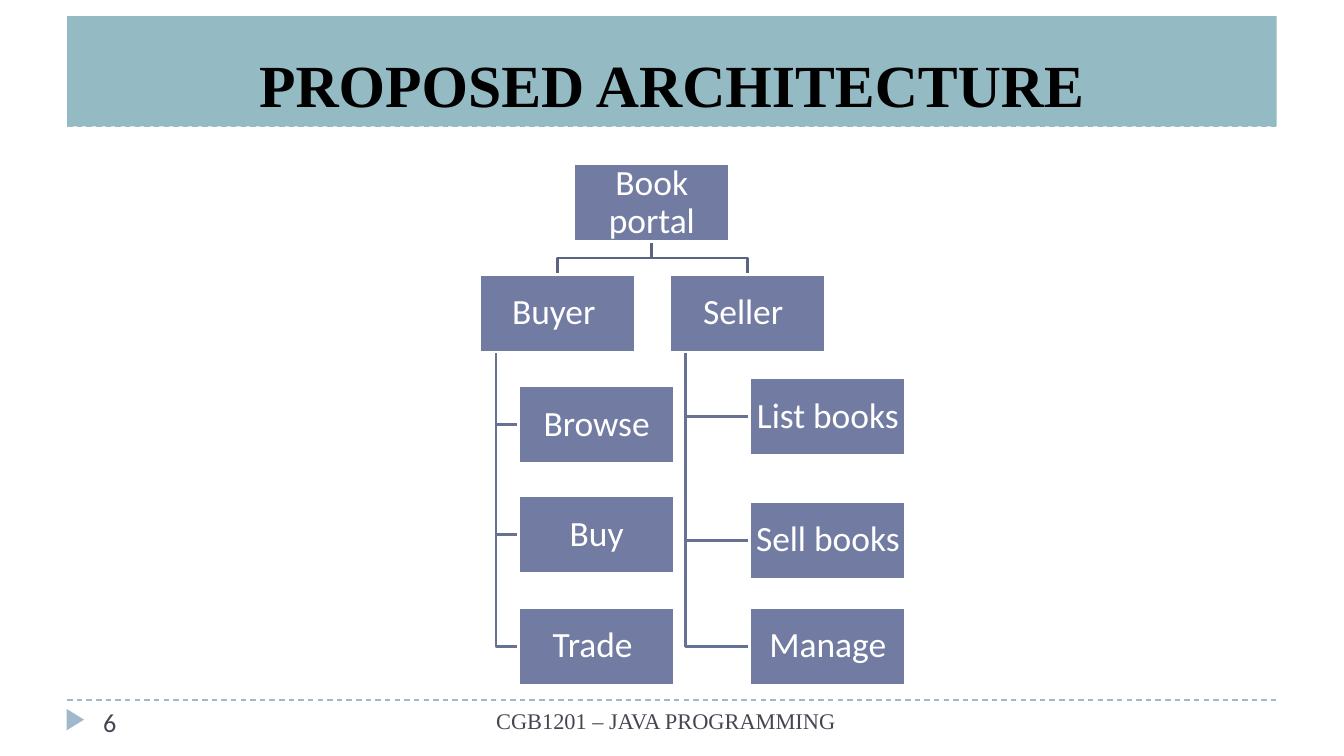
from dataclasses import dataclass

from lxml.etree import SubElement
from pptx import Presentation
from pptx.dml.color import RGBColor
from pptx.enum.dml import MSO_LINE
from pptx.enum.shapes import MSO_CONNECTOR, MSO_SHAPE
from pptx.enum.text import MSO_ANCHOR, MSO_AUTO_SIZE, PP_ALIGN
from pptx.oxml.ns import qn
from pptx.util import Inches, Pt


@dataclass(frozen=True)
class Theme:
    banner: str = "94BAC3"
    rule: str = "9FB8CD"
    box: str = "727CA3"
    trunk: str = "5B6383"
    branch: str = "677194"
    light: str = "FFFFFF"
    dark: str = "000000"
    muted: str = "464653"
    serif: str = "Times New Roman"
    sans: str = "Calibri"
    title_size: int = 32
    box_size: int = 19
    number_size: int = 14
    footer_size: int = 12
    line_width: float = 1.5
    rule_width: float = 0.75


@dataclass(frozen=True)
class Node:
    label: str
    left: float
    top: float

    @property
    def center(self) -> float:
        return self.left + BOX_WIDTH / 2

    @property
    def middle(self) -> float:
        return self.top + BOX_HEIGHT / 2

    @property
    def bottom(self) -> float:
        return self.top + BOX_HEIGHT


@dataclass(frozen=True)
class Branch:
    parent: Node
    children: tuple[Node, ...]


THEME = Theme()
SLIDE_WIDTH = 10
BOX_WIDTH, BOX_HEIGHT = 1.16, 0.58
STEM_INSET = 0.12
BUYER_LEFT, SELLER_LEFT = 3.86, 5.58
ROOT = Node("Book portal", 4.27, 1.22)
BRANCHES = (
    Branch(Node("Buyer ", 3.57, 2.04), (
        Node("Browse", BUYER_LEFT, 2.87),
        Node("Buy", BUYER_LEFT, 3.69),
        Node("Trade ", BUYER_LEFT, 4.52),
    )),
    Branch(Node("Seller ", 4.98, 2.04), (
        Node("List books", SELLER_LEFT, 2.81),
        Node("Sell books", SELLER_LEFT, 3.73),
        Node("Manage", SELLER_LEFT, 4.52),
    )),
)


def color(value: str) -> RGBColor:
    return RGBColor.from_string(value)


def write_text(shape, text: str, *, size: float, font: str, fill: str, bold: bool = False,
               align=PP_ALIGN.LEFT, anchor=MSO_ANCHOR.TOP, spacing: float = 1.0,
               inset: tuple[float, float] = (0.1, 0.05)) -> None:
    frame = shape.text_frame
    frame.word_wrap = True
    frame.auto_size = MSO_AUTO_SIZE.NONE
    frame.vertical_anchor = anchor
    frame.margin_left = frame.margin_right = Inches(inset[0])
    frame.margin_top = frame.margin_bottom = Inches(inset[1])
    paragraph = frame.paragraphs[0]
    paragraph.alignment = align
    paragraph.line_spacing = spacing
    run = paragraph.add_run()
    run.text = text
    run.font.size = Pt(size)
    run.font.name = font
    run.font.bold = bold
    run.font.color.rgb = color(fill)


def place(shape, left: float, top: float, width: float, height: float) -> None:
    shape.left, shape.top = Inches(left), Inches(top)
    shape.width, shape.height = Inches(width), Inches(height)


def add_title(slide, text: str) -> None:
    title = slide.shapes.title
    slide.shapes._spTree.append(title._element)
    place(title, 0.5, 0.12, 9, 0.82)
    title.fill.solid()
    title.fill.fore_color.rgb = color(THEME.banner)
    write_text(title, text, size=THEME.title_size, font=THEME.serif, fill=THEME.dark,
               bold=True, align=PP_ALIGN.CENTER, anchor=MSO_ANCHOR.BOTTOM)


def add_rule(slide, top: float) -> None:
    rule = slide.shapes.add_connector(MSO_CONNECTOR.STRAIGHT, Inches(0.5), Inches(top),
                                      Inches(9.5), Inches(top))
    rule.line.color.rgb = color(THEME.rule)
    rule.line.width = Pt(THEME.rule_width)
    rule.line.dash_style = MSO_LINE.DASH
    SubElement(rule._element.spPr, qn("a:effectLst"))


def add_marker(slide) -> None:
    marker = slide.shapes.add_shape(MSO_SHAPE.ISOSCELES_TRIANGLE, Inches(0.48), Inches(5.29),
                                    Inches(0.16), Inches(0.13))
    marker.rotation = 90
    marker.shadow.inherit = False
    marker.fill.solid()
    marker.fill.fore_color.rgb = color(THEME.rule)
    marker.line.fill.background()


def add_label(slide, text: str, box: tuple[float, float, float, float], **text_format) -> None:
    label = slide.shapes.add_textbox(*map(Inches, box))
    write_text(label, text, fill=THEME.muted, **text_format)


def add_elbow(slide, points: list[tuple[float, float]], stroke: str) -> None:
    start, *rest = [(Inches(x), Inches(y)) for x, y in points]
    builder = slide.shapes.build_freeform(*start)
    builder.add_line_segments(rest, close=False)
    elbow = builder.convert_to_shape()
    elbow.shadow.inherit = False
    elbow.fill.background()
    elbow.line.color.rgb = color(stroke)
    elbow.line.width = Pt(THEME.line_width)


def add_node(slide, node: Node) -> None:
    box = slide.shapes.add_shape(MSO_SHAPE.RECTANGLE, Inches(node.left), Inches(node.top),
                                 Inches(BOX_WIDTH), Inches(BOX_HEIGHT))
    box.shadow.inherit = False
    box.fill.solid()
    box.fill.fore_color.rgb = color(THEME.box)
    box.line.color.rgb = color(THEME.light)
    box.line.width = Pt(THEME.line_width)
    write_text(box, node.label, size=THEME.box_size, font=THEME.sans, fill=THEME.light,
               align=PP_ALIGN.CENTER, anchor=MSO_ANCHOR.MIDDLE, spacing=0.9, inset=(0.01, 0.01))


def connect_branch(slide, branch: Branch) -> None:
    parent = branch.parent
    halfway = (ROOT.bottom + parent.top) / 2
    add_elbow(slide, [(ROOT.center, ROOT.bottom), (ROOT.center, halfway),
                      (parent.center, halfway), (parent.center, parent.top)], THEME.trunk)
    stem = parent.left + STEM_INSET
    for child in branch.children:
        add_elbow(slide, [(stem, parent.bottom), (stem, child.middle),
                          (child.left, child.middle)], THEME.branch)


def main() -> None:
    presentation = Presentation()
    presentation.slide_width = Inches(SLIDE_WIDTH)
    presentation.slide_height = Inches(SLIDE_WIDTH * 9 / 16)
    slide = presentation.slides.add_slide(presentation.slide_layouts[5])
    for top in (5.21, 0.94):
        add_rule(slide, top)
    add_marker(slide)
    add_title(slide, "PROPOSED ARCHITECTURE")
    add_label(slide, "CGB1201 – JAVA PROGRAMMING", (2.75, 5.21, 4.41, 0.41),
              size=THEME.footer_size, font=THEME.serif, align=PP_ALIGN.CENTER)
    add_label(slide, "6", (0.67, 5.21, 2.17, 0.3), size=THEME.number_size, font=THEME.sans)
    for branch in BRANCHES:
        connect_branch(slide, branch)
    add_node(slide, ROOT)
    for branch in BRANCHES:
        for node in (branch.parent, *branch.children):
            add_node(slide, node)
    presentation.save("out.pptx")


if __name__ == "__main__":
    main()
